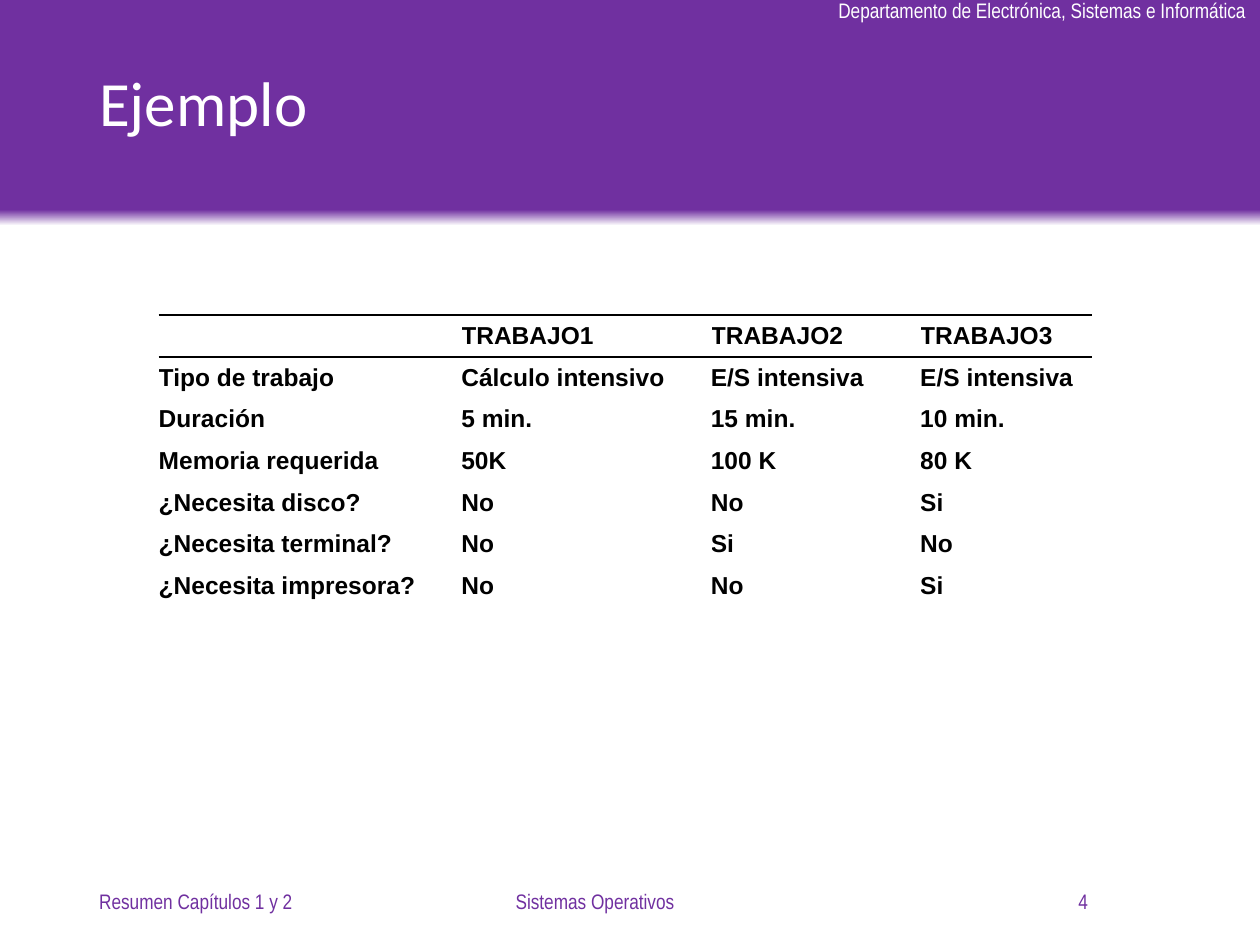
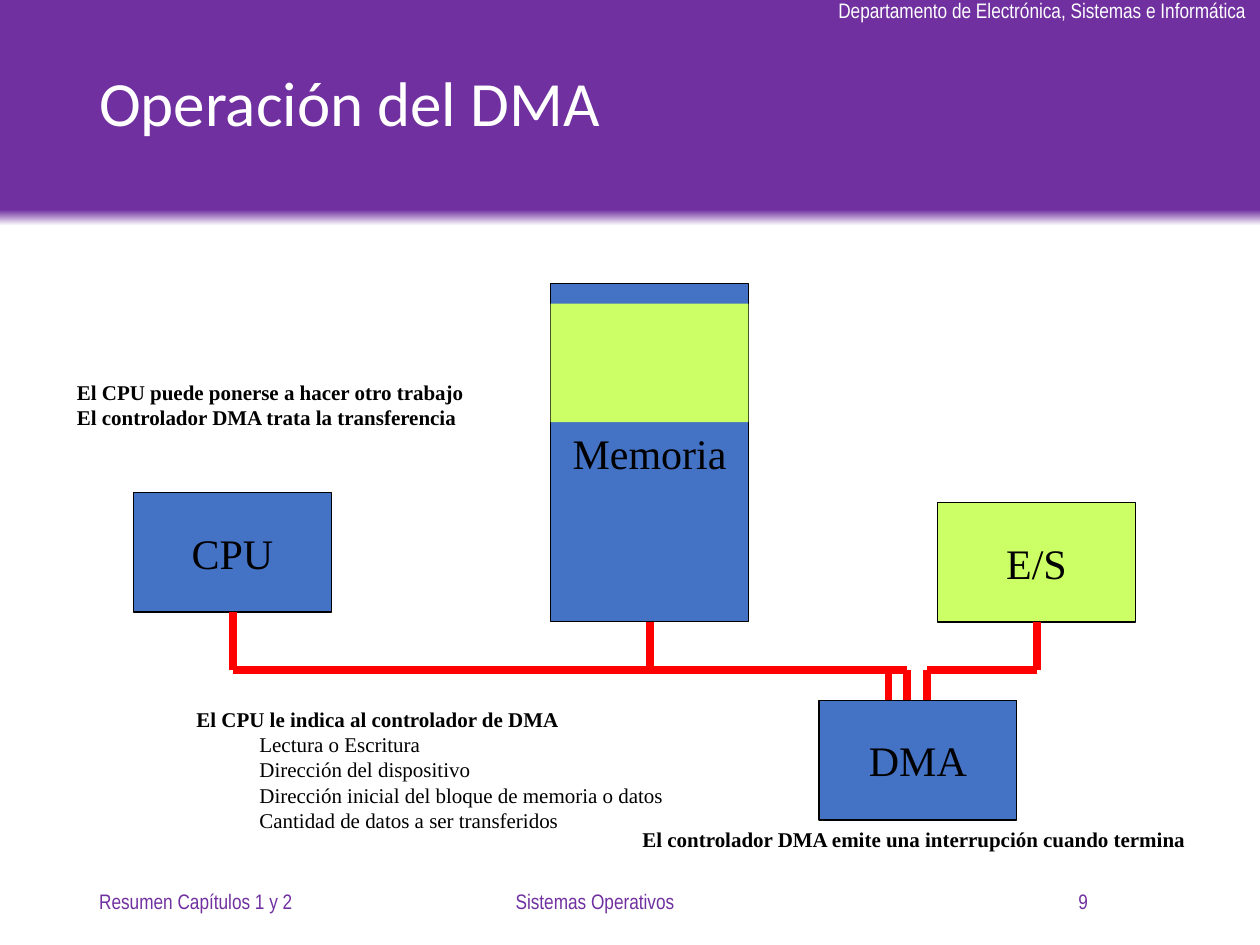
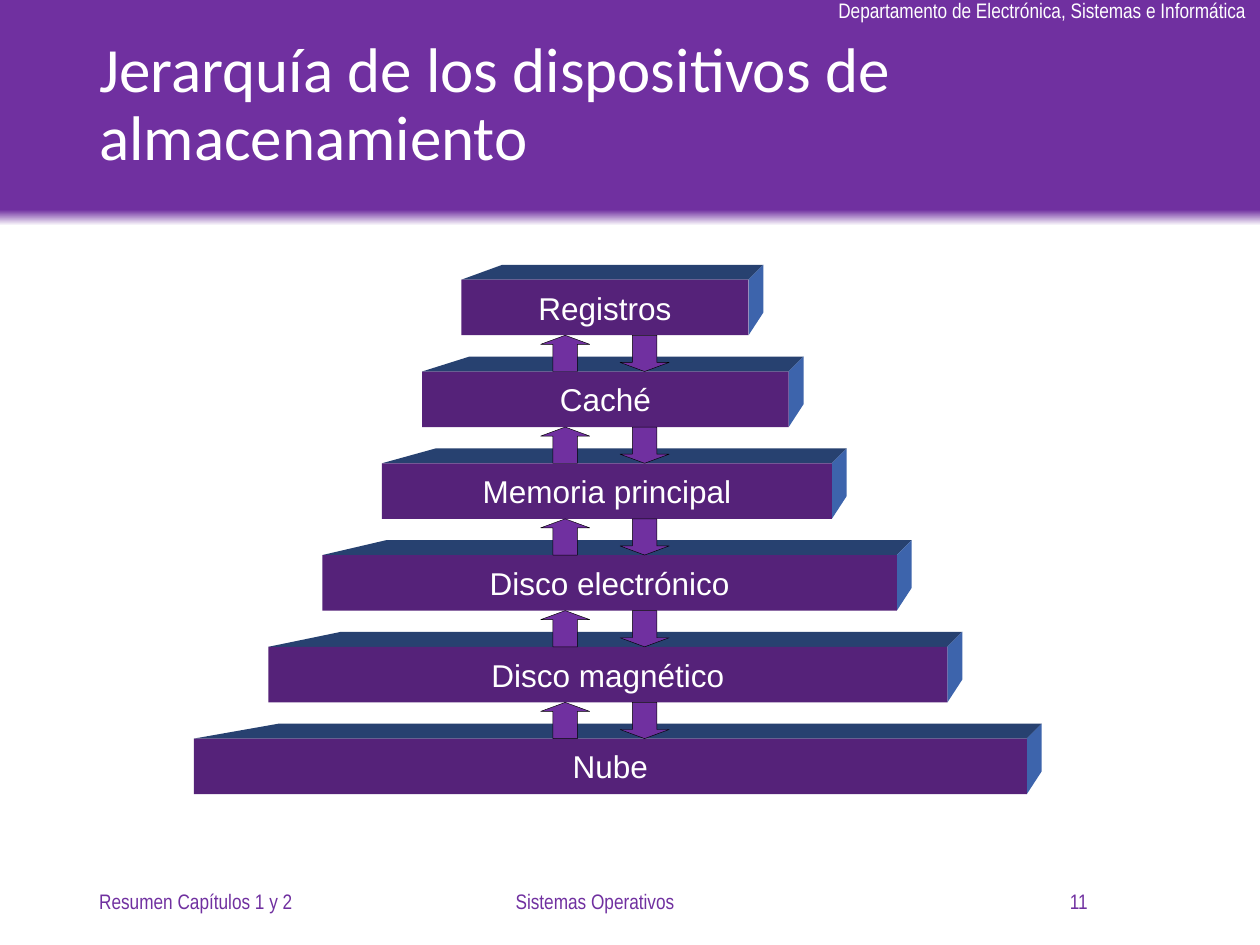
from copy import deepcopy

from lxml.etree import SubElement
from pptx import Presentation
from pptx.dml.color import RGBColor
from pptx.enum.shapes import MSO_CONNECTOR, MSO_SHAPE
from pptx.enum.text import MSO_ANCHOR, PP_ALIGN
from pptx.oxml.ns import qn
from pptx.util import Cm, Pt

# Colours
PURPLE = RGBColor(0x70, 0x30, 0xA0)
SLAB_FRONT = RGBColor(0x55, 0x22, 0x79)
SLAB_TOP = RGBColor(0x27, 0x41, 0x70)
SLAB_SIDE = RGBColor(0x3D, 0x64, 0xAC)
BLUE = RGBColor(0x44, 0x72, 0xC4)
LIME = RGBColor(0xCC, 0xFF, 0x66)
RED = RGBColor(0xFF, 0x00, 0x00)
BLACK = RGBColor(0x00, 0x00, 0x00)
WHITE = RGBColor(0xFF, 0xFF, 0xFF)

# Text styles: format values for the frame, its paragraphs and their font
MIDDLE = {"word_wrap": True, "vertical_anchor": MSO_ANCHOR.MIDDLE}
UNWRAPPED = {"word_wrap": False, "vertical_anchor": MSO_ANCHOR.TOP}
CENTRED = {"word_wrap": False, "vertical_anchor": MSO_ANCHOR.MIDDLE}
LEFT = {"alignment": PP_ALIGN.LEFT}
CENTER = {"alignment": PP_ALIGN.CENTER}
RIGHT = {"alignment": PP_ALIGN.RIGHT}
NARROW = {"name": "Arial Narrow", "size": Pt(12)}
SERIF = {"name": "Times New Roman", "size": Pt(24)}

TITLE_STYLE = (MIDDLE, {"alignment": PP_ALIGN.LEFT, "line_spacing": 0.9},
               {"name": "Calibri", "size": Pt(36)}, WHITE)
DEPARTMENT_STYLE = (UNWRAPPED, CENTER, NARROW, WHITE)
CELL_STYLE = (MIDDLE, LEFT, {"name": "Arial", "size": Pt(14), "bold": True}, BLACK)
UNIT_STYLE = (CENTRED, CENTER, SERIF, BLACK)
NOTE_STYLE = (UNWRAPPED, LEFT,
              {"name": "Times New Roman", "size": Pt(12), "bold": True}, BLACK)
SLAB_STYLE = (CENTRED, CENTER, {"name": "Arial", "size": Pt(18)}, WHITE)


def write(frame, lines, style):
    """Fill a text frame with one paragraph per line."""
    frame_format, paragraph_format, font_format, color = style
    for key, value in frame_format.items():
        setattr(frame, key, value)
    for number, line in enumerate(lines):
        paragraph = frame.paragraphs[0] if number == 0 else frame.add_paragraph()
        for key, value in paragraph_format.items():
            setattr(paragraph, key, value)
        run = paragraph.add_run()
        run.text = line
        for key, value in font_format.items():
            setattr(run.font, key, value)
        run.font.color.rgb = color


def draw_line(slide, start, end, color, width):
    """Draw a straight line between two points given in centimetres."""
    line = slide.shapes.add_connector(
        MSO_CONNECTOR.STRAIGHT, *[Cm(v) for v in (*start, *end)])
    line.line.color.rgb = color
    line.line.width = Pt(width)
    SubElement(line.element.spPr, qn("a:effectLst"))


presentation = Presentation()
presentation.slide_width = Cm(25.4)
presentation.slide_height = Cm(19.05)

# Shared parts: purple band, department, title and footers
slides = []
for title, number in [
    ("Ejemplo", "4"),
    ("Operación del DMA", "9"),
    ("Jerarquía de los dispositivos de almacenamiento", "11"),
]:
    slide = presentation.slides.add_slide(presentation.slide_layouts[6])
    slides.append(slide)

    band = slide.shapes.add_shape(MSO_SHAPE.RECTANGLE, 0, 0, Cm(25.4), Cm(4.55))
    band.shadow.inherit = False
    band.line.fill.background()
    band.fill.gradient()
    band.fill.gradient_angle = 90
    for stop, position, color in zip(
            band.fill.gradient_stops, (0, 0.07), (WHITE, PURPLE)):
        stop.position = position
        stop.color.rgb = color
    stop_list = band.element.spPr.find(".//" + qn("a:gsLst"))
    last_stop = deepcopy(stop_list[-1])
    last_stop.set("pos", "100000")
    stop_list.append(last_stop)

    for text, bounds, style in [
        ("Departamento de Electrónica, Sistemas e Informática",
         (16.59, -0.18, 8.84, 0.76), DEPARTMENT_STYLE),
        (title, (1.75, 0.38, 21.89, 3.53), TITLE_STYLE),
        ("Resumen Capítulos 1 y 2", (1.75, 17.65, 5.72, 1.02),
         (MIDDLE, LEFT, NARROW, PURPLE)),
        ("Sistemas Operativos", (7.7, 17.65, 8.59, 1.02),
         (MIDDLE, CENTER, NARROW, PURPLE)),
        (number, (16.46, 17.65, 5.72, 1.02), (MIDDLE, RIGHT, NARROW, PURPLE)),
    ]:
        box = slide.shapes.add_textbox(*[Cm(v) for v in bounds])
        write(box.text_frame, [text], style)

example, dma, hierarchy = slides

# Example: table of the three jobs
JOBS = [
    ("", "TRABAJO1", "TRABAJO2", "TRABAJO3"),
    ("Tipo de trabajo", "Cálculo intensivo", "E/S intensiva", "E/S intensiva"),
    ("Duración", "5 min.", "15 min.", "10 min."),
    ("Memoria requerida", "50K", "100 K", "80 K"),
    ("¿Necesita disco?", "No", "No", "Si"),
    ("¿Necesita terminal?", "No", "Si", "No"),
    ("¿Necesita impresora?", "No", "No", "Si"),
]
COLUMN_WIDTHS = (6.1, 5.03, 4.22, 3.47)
JOBS_LEFT, JOBS_TOP, ROW_HEIGHT = 3.2, 6.35, 0.84
JOBS_WIDTH = sum(COLUMN_WIDTHS)

jobs = example.shapes.add_table(
    len(JOBS), len(COLUMN_WIDTHS), Cm(JOBS_LEFT), Cm(JOBS_TOP),
    Cm(JOBS_WIDTH), Cm(ROW_HEIGHT * len(JOBS))).table
jobs.first_row = False
jobs.horz_banding = False
for column, width in zip(jobs.columns, COLUMN_WIDTHS):
    column.width = Cm(width)
for row, values in zip(jobs.rows, JOBS):
    row.height = Cm(ROW_HEIGHT)
    for cell, value in zip(row.cells, values):
        cell.fill.background()
        for margin in ("margin_left", "margin_right", "margin_top", "margin_bottom"):
            setattr(cell, margin, 0)
        write(cell.text_frame, [value], CELL_STYLE)
        cell.vertical_anchor = MSO_ANCHOR.MIDDLE

# Rules above and below the header row
for y in (JOBS_TOP, JOBS_TOP + ROW_HEIGHT):
    draw_line(example, (JOBS_LEFT, y), (JOBS_LEFT + JOBS_WIDTH, y), BLACK, 1)

# DMA: hardware units and the block of transferred data
UNIT_WIDTH, UNIT_HEIGHT = 3.99, 2.41
DMA_TOP = 14.12
for name, left, top, height, color in [
    ("CPU", 2.69, 9.93, UNIT_HEIGHT, BLUE),
    ("Memoria", 11.1, 5.72, 6.81, BLUE),
    ("DMA", 16.51, DMA_TOP, UNIT_HEIGHT, BLUE),
    ("E/S", 18.9, 10.13, UNIT_HEIGHT, LIME),
    (None, 11.1, 6.12, 2.39, LIME),
]:
    unit = dma.shapes.add_shape(
        MSO_SHAPE.RECTANGLE, Cm(left), Cm(top), Cm(UNIT_WIDTH), Cm(height))
    unit.shadow.inherit = False
    unit.fill.solid()
    unit.fill.fore_color.rgb = color
    if name:
        unit.line.color.rgb = BLACK
        unit.line.width = Pt(0.75)
        write(unit.text_frame, [name], UNIT_STYLE)
    else:
        unit.line.fill.background()

# Red routes: from each unit down to the bus, along it and into the DMA
BUS_Y = 13.51
for unit_x, unit_bottom, port_x in [
    (4.69, 12.34, 18.29),
    (13.1, 12.53, 17.91),
    (20.9, 12.54, 18.69),
]:
    route = [(unit_x, unit_bottom), (unit_x, BUS_Y), (port_x, BUS_Y), (port_x, DMA_TOP)]
    for start, end in zip(route, route[1:]):
        draw_line(dma, start, end, RED, 4.5)

# Steps of the transfer: bold lines, the first box with indented details
for bounds, lines, details in [
    ((3.71, 14.12, 10.06, 3.35),
     ["El CPU le indica al controlador de DMA"],
     ["Lectura o Escritura", "Dirección del dispositivo",
      "Dirección inicial del bloque de memoria o datos",
      "Cantidad de datos a ser transferidos"]),
    ((1.3, 7.52, 8.38, 1.8),
     ["El CPU puede ponerse a hacer otro trabajo",
      "El controlador DMA trata la transferencia"], []),
    ((12.7, 16.54, 11.58, 1.3),
     ["El controlador DMA emite una interrupción cuando termina"], []),
]:
    step = dma.shapes.add_textbox(*[Cm(v) for v in bounds])
    write(step.text_frame, lines + details, NOTE_STYLE)
    for paragraph in step.text_frame.paragraphs[len(lines):]:
        paragraph.level = 1
        paragraph.runs[0].font.bold = False
        properties = paragraph._p.get_or_add_pPr()
        properties.set("marL", str(Cm(1.27)))
        properties.set("indent", "0")

# Hierarchy: slabs with a front, a top face and a side face
SLAB_PITCH, SLAB_HEIGHT, DEPTH = 1.85, 1.12, 0.3
FIRST_SLAB_TOP = 5.64
LEVELS = [
    ("Registros", 9.3, 5.79),
    ("Caché", 8.51, 7.39),
    ("Memoria principal", 7.7, 9.07),
    ("Disco electrónico", 6.5, 11.58),
    ("Disco magnético", 5.41, 13.69),
    ("Nube", 3.91, 16.79),
]
for index, (name, left, width) in enumerate(LEVELS):
    top = FIRST_SLAB_TOP + index * SLAB_PITCH
    right, bottom = left + width, top + SLAB_HEIGHT
    back_left = left + 0.36 + 0.08 * width
    back_right, back_top = right + DEPTH, top - DEPTH
    for color, outline in [
        (SLAB_TOP, [(left, top), (back_left, back_top),
                    (back_right, back_top), (right, top)]),
        (SLAB_SIDE, [(right, top), (back_right, back_top),
                     (back_right, bottom - 0.46), (right, bottom)]),
    ]:
        points = [(Cm(x), Cm(y)) for x, y in outline]
        builder = hierarchy.shapes.build_freeform(*points[0])
        builder.add_line_segments(points[1:], close=True)
        face = builder.convert_to_shape()
        face.shadow.inherit = False
        face.fill.solid()
        face.fill.fore_color.rgb = color
        face.line.fill.background()

    front = hierarchy.shapes.add_shape(
        MSO_SHAPE.RECTANGLE, Cm(left), Cm(top), Cm(width), Cm(SLAB_HEIGHT))
    front.shadow.inherit = False
    front.fill.solid()
    front.fill.fore_color.rgb = SLAB_FRONT
    front.line.fill.background()
    write(front.text_frame, [name], SLAB_STYLE)

# Up and down arrows between neighbouring levels
for index in range(len(LEVELS) - 1):
    top = FIRST_SLAB_TOP + index * SLAB_PITCH + SLAB_HEIGHT
    for direction, left in [(MSO_SHAPE.UP_ARROW, 10.9), (MSO_SHAPE.DOWN_ARROW, 12.5)]:
        arrow = hierarchy.shapes.add_shape(
            direction, Cm(left), Cm(top), Cm(0.99), Cm(SLAB_PITCH - SLAB_HEIGHT))
        arrow.adjustments[1] = 0.25
        arrow.shadow.inherit = False
        arrow.fill.solid()
        arrow.fill.fore_color.rgb = PURPLE
        arrow.line.color.rgb = BLACK
        arrow.line.width = Pt(0.25)

presentation.save("out.pptx")
